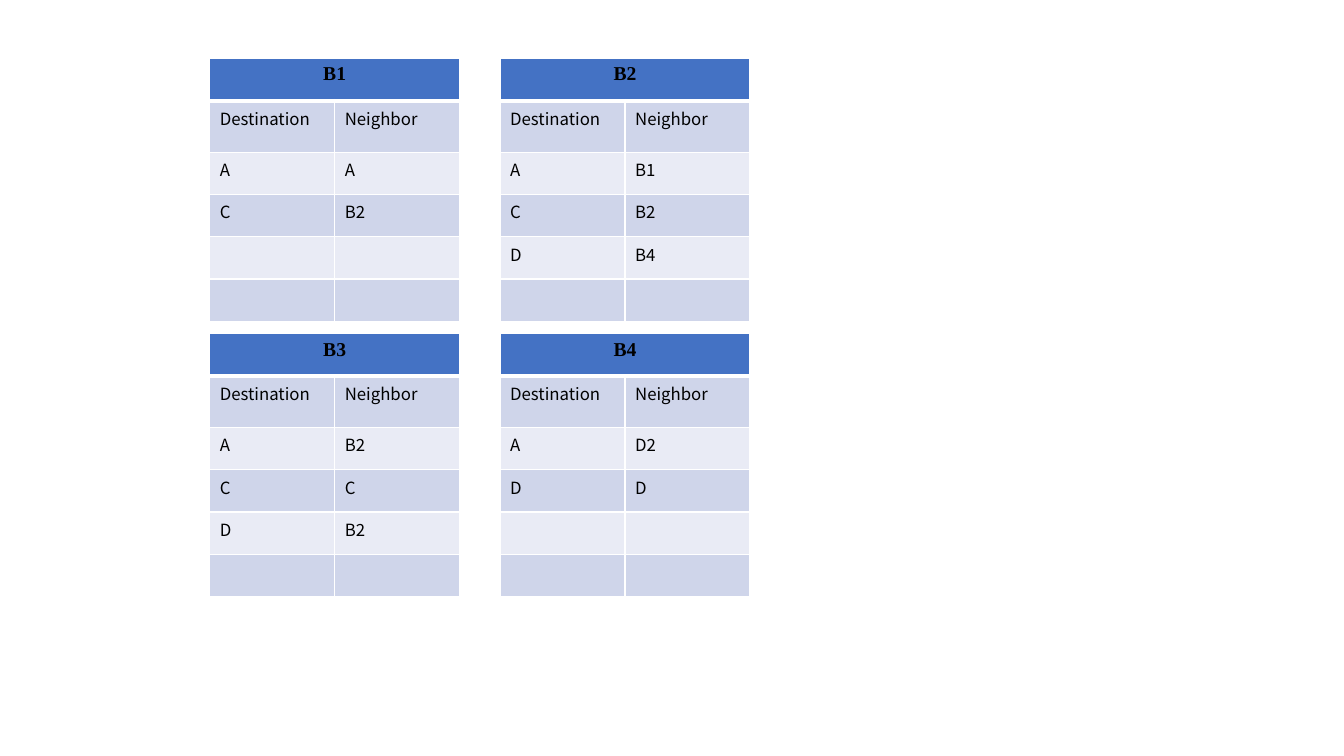
from lxml.etree import SubElement
from pptx import Presentation
from pptx.dml.color import RGBColor
from pptx.enum.text import PP_ALIGN as Align
from pptx.oxml.ns import qn
from pptx.util import Inches, Pt

HEAD_BLUE = RGBColor(0x44, 0x72, 0xC4)
BANDS = (RGBColor(0xCF, 0xD5, 0xEA), RGBColor(0xE9, 0xEB, 0xF5))
BLACK = RGBColor(0, 0, 0)
WHITE = RGBColor(0xFF, 0xFF, 0xFF)
HEAD_FONT, BODY_FONT = "Times New Roman", "Noto Sans CJK KR"

LEFT, TOP = 2.08, 0.58
COL_PITCH, ROW_PITCH = 2.88, 2.73
TABLE_W = 2.48
ROW_HEIGHTS = (0.42, 0.51, 0.42, 0.42, 0.42, 0.42)
GRID_COLS = 2

ROUTES = {
    "B1": [("A", "A"), ("C", "B2")],
    "B2": [("A", "B1"), ("C", "B2"), ("D", "B4")],
    "B3": [("A", "B2"), ("C", "C"), ("D", "B2")],
    "B4": [("A", "D2"), ("D", "D")],
}


def set_borders(cell, top, bottom):
    """Draw white cell borders; top and bottom widths are in points."""
    tc_pr = cell._tc.get_or_add_tcPr()
    for side, width in (("L", 1), ("R", 1), ("T", top), ("B", bottom)):
        ln = SubElement(tc_pr, qn(f"a:ln{side}"), w=str(Pt(width)))
        fill = SubElement(ln, qn("a:solidFill"))
        SubElement(fill, qn("a:srgbClr"), val=str(WHITE))


def fill_cell(cell, text, color, font, size, bold=False, align=Align.LEFT):
    """Write one cell's text and set its fill and font."""
    cell.fill.solid()
    cell.fill.fore_color.rgb = color
    cell.text = text
    p = cell.text_frame.paragraphs[0]
    p.alignment = align
    p.font.name, p.font.size, p.font.bold = font, Pt(size), bold
    p.font.color.rgb = BLACK


def add_routing_table(s, name, routes, left, top, width):
    """Place the forwarding table of one bridge in the given box."""
    frame = s.shapes.add_table(len(ROW_HEIGHTS), 2, Inches(left), Inches(top),
                               Inches(width), Inches(sum(ROW_HEIGHTS)))
    table = frame.table
    table.first_row = False
    for col in table.columns:
        col.width = Inches(width / 2)
    for row, height in zip(table.rows, ROW_HEIGHTS):
        row.height = Inches(height)

    rows = [(name, ""), ("Destination", "Neighbor"), *routes]
    rows += [("", "")] * (len(ROW_HEIGHTS) - len(rows))
    for i, texts in enumerate(rows):
        for j, text in enumerate(texts):
            cell = table.cell(i, j)
            set_borders(cell, 3 if i == 1 else 1, 3 if i == 0 else 1)
            if i == 0:
                fill_cell(cell, text, HEAD_BLUE, HEAD_FONT, 14, True, Align.CENTER)
            else:
                fill_cell(cell, text, BANDS[(i - 1) % 2], BODY_FONT, 12)
    table.cell(0, 0).merge(table.cell(0, 1))


def add_routing_slide(prs):
    """Add a slide with the bridge tables laid out on a grid."""
    s = prs.slides.add_slide(prs.slide_layouts[6])
    for i, (name, routes) in enumerate(ROUTES.items()):
        row, col = divmod(i, GRID_COLS)
        add_routing_table(s, name, routes, LEFT + col * COL_PITCH,
                          TOP + row * ROW_PITCH, TABLE_W)


prs = Presentation()
prs.slide_width, prs.slide_height = Inches(13.33), Inches(7.5)
add_routing_slide(prs)
prs.save("out.pptx")
